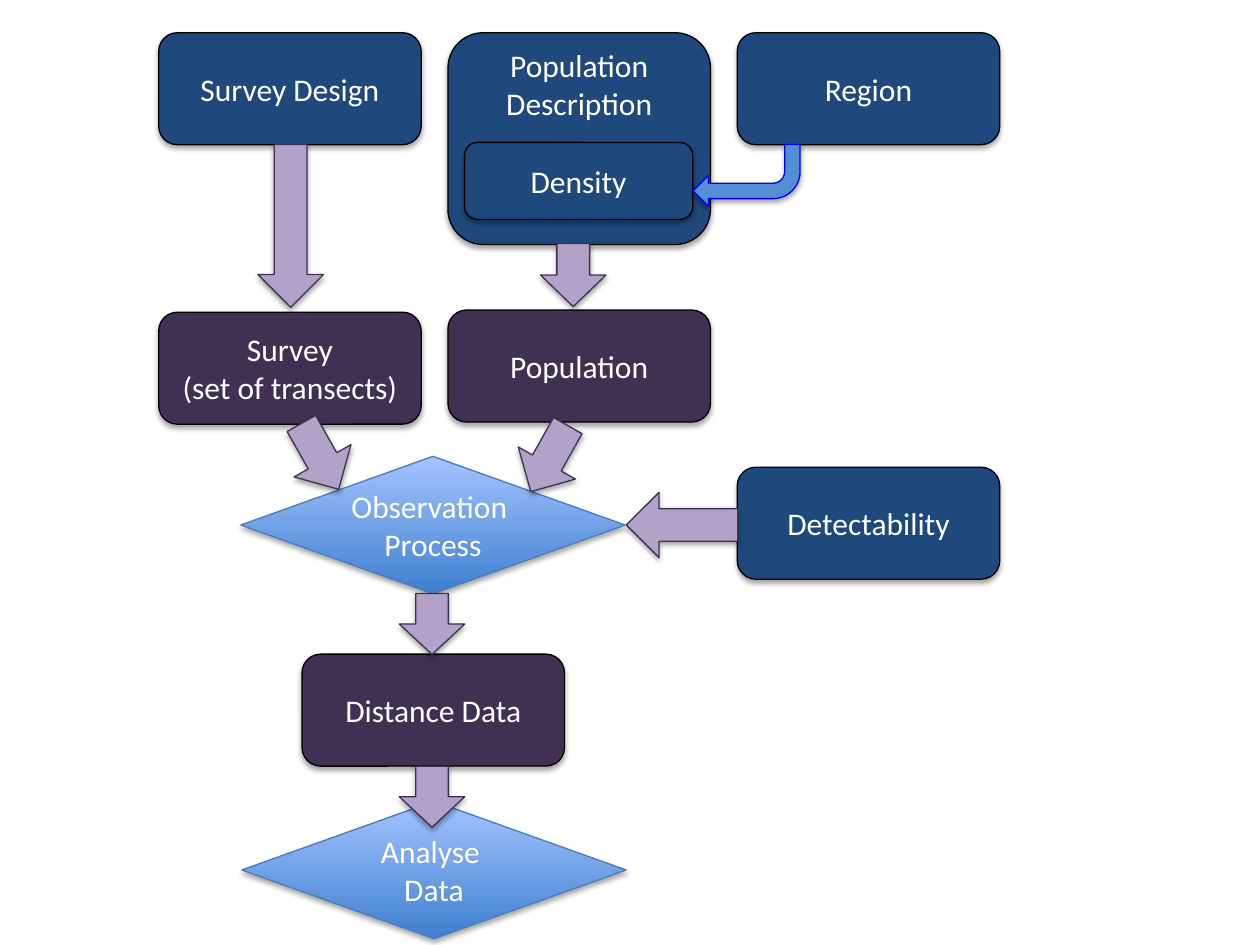
"""Build a flow chart slide of a distance sampling simulation."""
from pptx import Presentation
from pptx.dml.color import RGBColor
from pptx.enum.shapes import MSO_SHAPE as Shape
from pptx.enum.text import MSO_ANCHOR as Anchor, PP_ALIGN as Align
from pptx.oxml import parse_xml
from pptx.oxml.ns import nsdecls, qn
from pptx.util import Pt

NAVY = RGBColor(0x1F, 0x49, 0x7D)
PLUM = RGBColor(0x40, 0x31, 0x52)
LILAC = RGBColor(0xB3, 0xA2, 0xC7)
SKY = RGBColor(0x55, 0x8E, 0xD5)
BLUE = RGBColor(0x00, 0x00, 0xFF)
GRADIENT = RGBColor(0x3F, 0x80, 0xCE), RGBColor(0xA4, 0xC4, 0xFF)
DIAMOND_LINE = RGBColor(0x4B, 0x7E, 0xBC)
BLACK = RGBColor(0, 0, 0)
WHITE = RGBColor(0xFF, 0xFF, 0xFF)

BOX_WIDTH, BOX_HEIGHT = 150, 64
DIAMOND_WIDTH, DIAMOND_HEIGHT = 219.6, 78.5
ARROW_WIDTH = 37.4
LEFT, MIDDLE, RIGHT = (90.7 + 165.3 * column for column in range(3))
TOP = 18.7

SHADOW = (
    f'<a:outerShdw {nsdecls("a")} blurRad="39370" dist="22860" dir="5400000" rotWithShape="0">'
    '<a:srgbClr val="000000"><a:alpha val="35000"/></a:srgbClr></a:outerShdw>'
)

presentation = Presentation()
presentation.slide_width, presentation.slide_height = Pt(720), Pt(540)
slide = presentation.slides.add_slide(presentation.slide_layouts[6])


def add_block(kind, left, top, width, height, fill, line, rotation=0):
    shape = slide.shapes.add_shape(kind, Pt(left), Pt(top), Pt(width), Pt(height))
    shape.rotation = rotation
    if fill is GRADIENT:
        shape.fill.gradient()
        shape.fill.gradient_angle = 90
        for stop, color in zip(shape.fill.gradient_stops, GRADIENT):
            stop.color.rgb = color
    else:
        shape.fill.solid()
        shape.fill.fore_color.rgb = fill
    shape.line.color.rgb = line
    shape.line.width = Pt(0.75)
    shape.shadow.inherit = False
    shape.element.spPr.find(qn("a:effectLst")).append(parse_xml(SHADOW))
    return shape


def write_text(shape, text, size=18, font="Calibri", color=WHITE, anchor=Anchor.MIDDLE):
    frame = shape.text_frame
    frame.word_wrap = True
    frame.vertical_anchor = anchor
    frame.text = text
    for paragraph in frame.paragraphs:
        paragraph.alignment = Align.CENTER
        paragraph.font.size = Pt(size)
        paragraph.font.name = font
        paragraph.font.color.rgb = color


description = add_block(Shape.ROUNDED_RECTANGLE, MIDDLE, TOP, BOX_WIDTH, 121, NAVY, BLACK)
write_text(description, "Population Description", anchor=Anchor.TOP)
description.text_frame.margin_top = Pt(1.6)

boxes = [
    ("Survey Design", LEFT, TOP, BOX_WIDTH, BOX_HEIGHT, NAVY),
    ("Density", 265.5, 81.4, 130.3, 44, NAVY),
    ("Region", RIGHT, TOP, BOX_WIDTH, BOX_HEIGHT, NAVY),
    ("Survey\n(set of transects)", LEFT, 178.4, BOX_WIDTH, BOX_HEIGHT, PLUM),
    ("Population", MIDDLE, 177.2, BOX_WIDTH, BOX_HEIGHT, PLUM),
    ("Detectability", RIGHT, 267, BOX_WIDTH, BOX_HEIGHT, NAVY),
    ("Distance Data", 172.6, 373.8, BOX_WIDTH, BOX_HEIGHT, PLUM),
]
for text, left, top, width, height, fill in boxes:
    box = add_block(Shape.ROUNDED_RECTANGLE, left, top, width, height, fill, BLACK)
    write_text(box, text)

diamonds = [
    ("Observation \nProcess", 137.6, 260.8),
    ("Analyse \nData", 138.2, 457.9),
]
for text, left, top in diamonds:
    diamond = add_block(
        Shape.DIAMOND, left, top, DIAMOND_WIDTH, DIAMOND_HEIGHT, GRADIENT, DIAMOND_LINE
    )
    write_text(diamond, text)

add_block(Shape.BENT_ARROW, 396, 82.6, 61.2, 35.3, SKY, BLUE, rotation=180)

arrows = [
    (147.4, 82.6, 93, 0),
    (308.9, 139.2, 36, 0),
    (295.2, 240.5, 43.2, 29.3),
    (164.2, 239.2, 43.2, 330.4),
    (371, 268.2, 63.6, 90),
    (228.2, 339.2, 34.8, 0),
    (228.2, 437.9, 34.8, 0),
]
for left, top, length, rotation in arrows:
    add_block(Shape.DOWN_ARROW, left, top, ARROW_WIDTH, length, LILAC, PLUM, rotation)

presentation.save("out.pptx")
